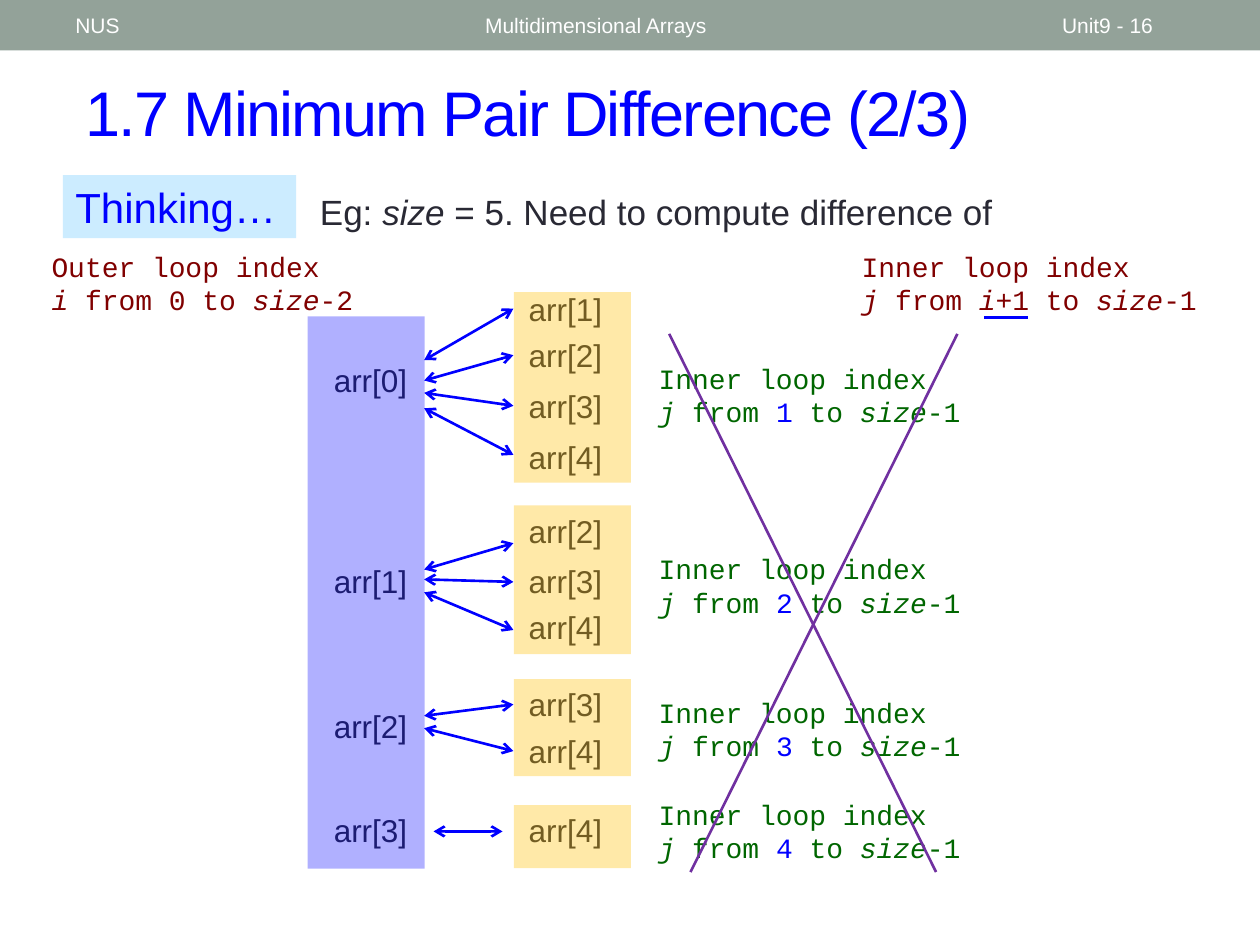
import dataclasses

import lxml.etree
import pptx
import pptx.dml.color
import pptx.enum.shapes
import pptx.enum.text
import pptx.oxml.ns
import pptx.util

Cm = pptx.util.Cm


@dataclasses.dataclass(frozen=True)
class Theme:
    sans: str = "Arial"
    mono: str = "Courier New"
    white: str = "FFFFFF"
    bar: str = "93A299"
    blue: str = "0000FF"
    body: str = "292934"
    sky: str = "CCECFF"
    maroon: str = "800000"
    green: str = "006600"
    amber: str = "FFC000"
    purple: str = "7030A0"
    title_size: int = 36
    heading_size: int = 24
    sentence_size: int = 20
    label_size: int = 18
    code_size: int = 16
    header_size: int = 12
    line_width: float = 1.5


class SlideBuilder:
    """Draws styled elements on the current slide."""

    variables = ("i", "j", "size")

    def __init__(self, slide, theme):
        self.slide = slide
        self.theme = theme

    def color(self, value):
        return pptx.dml.color.RGBColor.from_string(value)

    def add_xml(self, parent, tag, **attributes):
        element = lxml.etree.SubElement(parent, pptx.oxml.ns.qn(tag))
        for name, value in attributes.items():
            element.set(name, value)
        return element

    def rectangle(self, left, top, width, height, fill, opacity=100):
        shape = self.slide.shapes.add_shape(
            pptx.enum.shapes.MSO_SHAPE.RECTANGLE, Cm(left), Cm(top), Cm(width), Cm(height))
        shape.shadow.inherit = False
        shape.line.fill.background()
        shape.fill.solid()
        shape.fill.fore_color.rgb = self.color(fill)
        if opacity < 100:
            color_element = shape.fill._xPr.find(".//" + pptx.oxml.ns.qn("a:srgbClr"))
            self.add_xml(color_element, "a:alpha", val=str(opacity * 1000))
        return shape

    def text(self, left, top, width, height, lines, size, color,
             font=None, align="LEFT", middle=False, highlight=None, spacing=None):
        shape = self.slide.shapes.add_textbox(Cm(left), Cm(top), Cm(width), Cm(height))
        frame = shape.text_frame
        frame.word_wrap = True
        if middle:
            frame.vertical_anchor = pptx.enum.text.MSO_ANCHOR.MIDDLE
        for index, pieces in enumerate(lines):
            paragraph = frame.add_paragraph() if index else frame.paragraphs[0]
            paragraph.alignment = getattr(pptx.enum.text.PP_ALIGN, align)
            for piece in pieces:
                run = paragraph.add_run()
                run.text = piece
                run.font.name = font or self.theme.sans
                run.font.size = pptx.util.Pt(size)
                run.font.italic = piece in self.variables
                marked = highlight and piece.isdigit()
                run.font.color.rgb = self.color(highlight if marked else color)
                if spacing:
                    run.font._element.set("spc", str(spacing))

    def label(self, left, top, index):
        self.text(left, top, 2.54, 1.02, [[f"arr[{index}]"]],
                  self.theme.label_size, self.theme.body, align="CENTER")

    def loop_note(self, left, top, width, kind, pieces, color):
        self.text(left, top, width, 1.63, [[f"{kind} loop index"], pieces],
                  self.theme.code_size, color, font=self.theme.mono,
                  highlight=self.theme.blue)

    def line(self, start_x, start_y, end_x, end_y, color, arrows=False):
        connector = self.slide.shapes.add_connector(
            pptx.enum.shapes.MSO_CONNECTOR.STRAIGHT,
            Cm(start_x), Cm(start_y), Cm(end_x), Cm(end_y))
        connector.line.color.rgb = self.color(color)
        connector.line.width = pptx.util.Pt(self.theme.line_width)
        if arrows:
            outline = connector.line._get_or_add_ln()
            for tag in ("a:headEnd", "a:tailEnd"):
                self.add_xml(outline, tag, type="arrow")
        self.add_xml(connector._element.spPr, "a:effectLst")


def main():
    presentation = pptx.Presentation()
    presentation.slide_width, presentation.slide_height = Cm(25.4), Cm(19.05)
    theme = Theme()
    slide = presentation.slides.add_slide(presentation.slide_layouts[6])
    builder = SlideBuilder(slide, theme)

    builder.rectangle(0, 0, 25.4, 1.02, theme.bar)
    builder.text(1.47, 1.07, 23.29, 2.34, [["1.7 Minimum Pair Difference (2/3)"]],
                 theme.title_size, theme.blue, middle=True, spacing=-100)
    for left, width, wording in ((9.53, 11.43, "Multidimensional Arrays"),
                                 (21.16, 2.97, "Unit9 - 16"), (1.27, 8.05, "NUS")):
        builder.text(left, 0.05, width, 0.91, [[wording]],
                     theme.header_size, theme.white, middle=True)

    builder.rectangle(1.27, 3.53, 4.7, 1.27, theme.sky)
    builder.text(1.27, 3.53, 4.7, 1.27, [["Thinking…"]], theme.heading_size, theme.blue)
    builder.text(6.2, 3.71, 14.96, 1.12,
                 [["Eg: ", "size", " = 5. Need to compute difference of"]],
                 theme.sentence_size, theme.body)

    outer_left, inner_left, box_left, box_width = 6.2, 10.13, 10.36, 2.36
    outer_tops = (7.16, 11.2, 14.12, 16.23)
    inner_tops = ((5.72, 6.65, 7.67, 8.71), (10.19, 11.2, 12.14), (13.69, 14.63), (16.23,))
    for outer, (outer_top, tops) in enumerate(zip(outer_tops, inner_tops)):
        builder.label(outer_left, outer_top, outer)
        for inner, top in enumerate(tops, outer + 1):
            builder.label(inner_left, top, inner)

    for start_y, end_y in ((7.26, 6.22), (7.67, 7.16), (7.92, 8.18), (8.23, 9.17),
                           (11.48, 10.95), (11.68, 11.73), (11.94, 12.7),
                           (14.43, 14.2), (14.68, 15.14)):
        builder.line(8.55, start_y, 10.35, end_y, theme.blue, arrows=True)
    builder.line(8.74, 16.76, 10.13, 16.76, theme.blue, arrows=True)

    builder.rectangle(outer_left, 6.38, box_width, 11.13, theme.blue, opacity=31)
    builder.loop_note(0.79, 4.9, 7.04, "Outer", ["i", " from 0 to ", "size", "-2"],
                      theme.maroon)
    groups = ((5.89, 3.84, 7.16), (10.19, 3, 11), (13.69, 1.96, 13.89), (16.23, 1.27, 15.95))
    for first, (top, height, note_top) in enumerate(groups, 1):
        builder.rectangle(box_left, top, box_width, height, theme.amber, opacity=34)
        builder.loop_note(13.03, note_top, 7.16, "Inner",
                          ["j", " from ", str(first), " to ", "size", "-1"], theme.green)

    builder.line(13.49, 6.73, 18.87, 17.58, theme.purple)
    builder.line(13.92, 17.58, 19.3, 6.73, theme.purple)
    builder.loop_note(17.12, 4.9, 7.59, "Inner",
                      ["j", " from ", "i", "+1 to ", "size", "-1"], theme.maroon)
    builder.line(19.84, 6.4, 20.73, 6.4, theme.blue)

    presentation.save("out.pptx")


if __name__ == "__main__":
    main()
